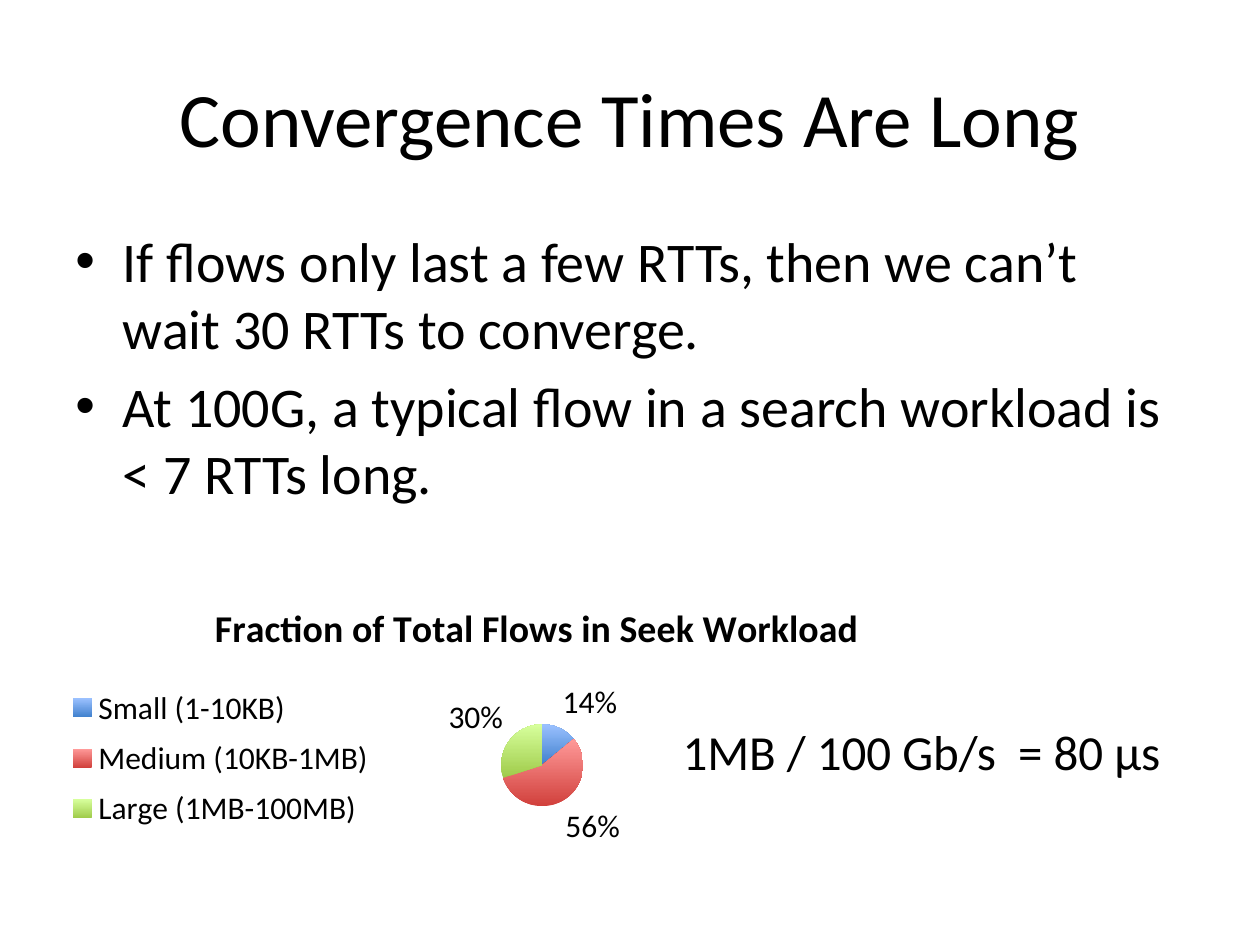
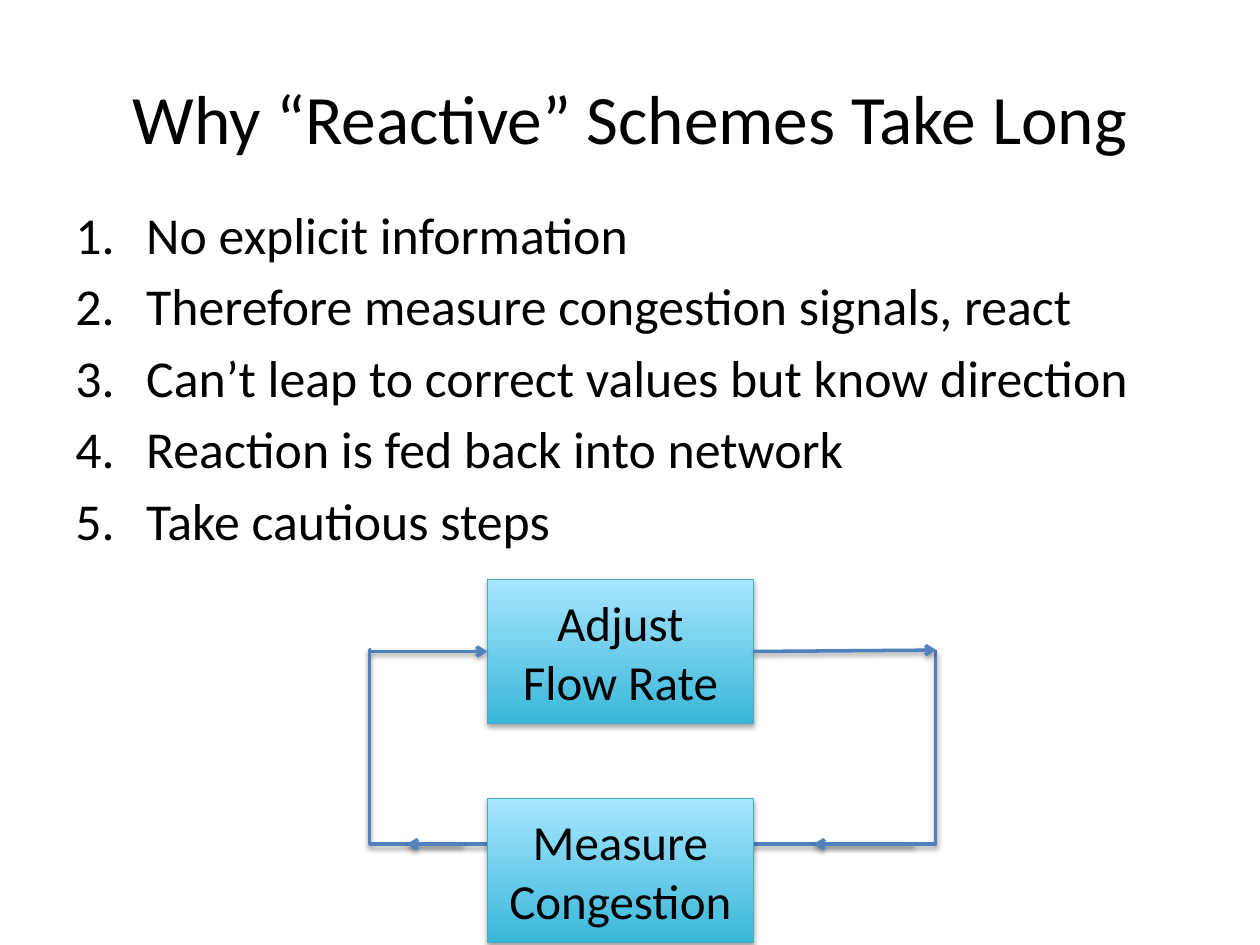
from dataclasses import dataclass

from lxml import etree
from pptx import Presentation
from pptx.chart.data import CategoryChartData
from pptx.dml.color import RGBColor
from pptx.enum.chart import XL_CHART_TYPE, XL_LABEL_POSITION, XL_LEGEND_POSITION
from pptx.enum.shapes import MSO_CONNECTOR, MSO_SHAPE
from pptx.enum.text import MSO_ANCHOR, PP_ALIGN
from pptx.oxml.ns import qn
from pptx.util import Pt

PIE = XL_CHART_TYPE.PIE
LABELS_OUTSIDE = XL_LABEL_POSITION.OUTSIDE_END
LEGEND_LEFT = XL_LEGEND_POSITION.LEFT
STRAIGHT, ELBOW = MSO_CONNECTOR.STRAIGHT, MSO_CONNECTOR.ELBOW
RECTANGLE = MSO_SHAPE.RECTANGLE
TOP, MIDDLE = MSO_ANCHOR.TOP, MSO_ANCHOR.MIDDLE
LEFT, CENTER = PP_ALIGN.LEFT, PP_ALIGN.CENTER
LEFT_SIDE, RIGHT_SIDE = 1, 3


@dataclass(frozen=True)
class Theme:
    font: str = "Calibri"
    text: str = "000000"
    arrow: str = "4F81BD"
    box_line: str = "46AAC5"
    box_gradient: tuple = ("39B7D8", "A7E6FF")
    slice_gradients: tuple = (
        ("3F80CD", "9BC1FF"), ("D1403C", "FF9A99"), ("9FCB4A", "D7FF9C"))
    title_size: float = 44
    long_title_size: float = 39.6
    bullet_size: float = 32
    step_size: float = 29.6
    note_size: float = 28
    chart_title_size: float = 21.6
    chart_size: float = 18
    paragraph_gap: float = 0.18


THEME = Theme()


def style_font(font, size, bold=None):
    font.name = THEME.font
    font.size = Pt(size)
    font.bold = bold
    font.color.rgb = RGBColor.from_string(THEME.text)


def write_text(frame, lines, size, align=LEFT, anchor=TOP):
    frame.word_wrap = True
    frame.vertical_anchor = anchor
    for index, line in enumerate(lines):
        paragraph = frame.add_paragraph() if index else frame.paragraphs[0]
        paragraph.text = line
        paragraph.alignment = align
        style_font(paragraph.font, size)


def add_text(slide, bounds, lines, size, align=LEFT, anchor=TOP):
    frame = slide.shapes.add_textbox(*map(Pt, bounds)).text_frame
    write_text(frame, lines, size, align, anchor)
    return frame


def add_title(slide, title, size):
    add_text(slide, (36, 21.6, 648, 90), [title], size, CENTER, MIDDLE)


def add_list(slide, top, height, items, size, indent, marker, **marker_attributes):
    frame = add_text(slide, (36, top, 648, height), items, size)
    for paragraph in frame.paragraphs:
        paragraph.space_before = Pt(size * THEME.paragraph_gap)
        properties = paragraph._p.get_or_add_pPr()
        properties.set("marL", str(Pt(indent)))
        properties.set("indent", str(-Pt(indent)))
        etree.SubElement(properties, qn("a:buFont"), typeface="Arial" if marker == "a:buChar" else "+mj-lt")
        etree.SubElement(properties, qn(marker), **marker_attributes)


def fill_gradient(fill, colors):
    fill.gradient()
    fill.gradient_angle = 90
    for stop, color in zip(fill.gradient_stops, colors):
        stop.color.rgb = RGBColor.from_string(color)


def add_shadow(element, distance, opacity):
    effects = etree.SubElement(element._element.spPr, qn("a:effectLst"))
    shadow = etree.SubElement(
        effects, qn("a:outerShdw"), blurRad=str(Pt(3.1)),
        dist=str(Pt(distance)), dir="5400000", rotWithShape="0")
    color = etree.SubElement(shadow, qn("a:srgbClr"), val="000000")
    etree.SubElement(color, qn("a:alpha"), val=str(opacity * 1000))


def add_stage(slide, top, lines):
    stage = slide.shapes.add_shape(RECTANGLE, Pt(278.5), Pt(top), Pt(152), Pt(82.4))
    fill_gradient(stage.fill, THEME.box_gradient)
    stage.line.color.rgb = RGBColor.from_string(THEME.box_line)
    stage.line.width = Pt(0.75)
    add_shadow(stage, 1.8, 35)
    write_text(stage.text_frame, lines, THEME.note_size, CENTER, MIDDLE)
    return stage


def add_flow(slide, start, end, kind=STRAIGHT, arrow=True, bend=None):
    flow = slide.shapes.add_connector(kind, *map(Pt, start + end))
    flow.line.color.rgb = RGBColor.from_string(THEME.arrow)
    flow.line.width = Pt(2)
    if arrow:
        etree.SubElement(flow.line._get_or_add_ln(), qn("a:tailEnd"), type="arrow")
    if bend is not None:
        adjustments = flow._element.spPr.find(qn("a:prstGeom")).get_or_add_avLst()
        etree.SubElement(adjustments, qn("a:gd"), name="adj1", fmla=f"val {bend}")
    add_shadow(flow, 1.6, 38)
    return flow


def place_in_chart(part, position, bounds, inner=False):
    for old_layout in part.findall(qn("c:layout")):
        part.remove(old_layout)
    layout = etree.Element(qn("c:layout"))
    manual = etree.SubElement(layout, qn("c:manualLayout"))
    settings = [("layoutTarget", "inner")] if inner else []
    settings += [("xMode", "edge"), ("yMode", "edge"), *zip("xywh", bounds)]
    for tag, value in settings:
        etree.SubElement(manual, qn(f"c:{tag}"), val=str(value))
    part.insert(position, layout)


def add_flow_chart(slide, bounds, title, fractions):
    data = CategoryChartData(number_format="0")
    data.categories = list(fractions)
    data.add_series(title, list(fractions.values()))
    chart = slide.shapes.add_chart(PIE, *map(Pt, bounds), data).chart
    style_font(chart.font, THEME.chart_size)

    chart.has_title = True
    heading = chart.chart_title.text_frame.paragraphs[0]
    heading.text = title
    style_font(heading.font, THEME.chart_title_size, bold=True)

    chart.has_legend = True
    chart.legend.position = LEGEND_LEFT
    chart.legend.include_in_layout = False
    style_font(chart.legend.font, THEME.chart_size)
    place_in_chart(chart.legend._element, 1, (0.02, 0.28, 0.32, 0.48))
    plot_area = chart._chartSpace.chart.plotArea
    place_in_chart(plot_area, 0, (0.46, 0.42, 0.09, 0.24), inner=True)

    plot = chart.plots[0]
    plot.vary_by_categories = True
    plot.has_data_labels = True
    labels = plot.data_labels
    labels.show_percentage = True
    labels.show_value = False
    labels.number_format = "0%"
    labels.number_format_is_linked = False
    labels.position = LABELS_OUTSIDE
    style_font(labels.font, THEME.chart_size)
    for index, colors in enumerate(THEME.slice_gradients):
        fill_gradient(plot.series[0].points[index].format.fill, colors)


def build_convergence_slide(slide):
    add_title(slide, "Convergence Times Are Long", THEME.title_size)
    add_list(slide, 126, 356.4, [
        "If flows only last a few RTTs, then we can’t wait 30 RTTs to converge.",
        "At 100G, a typical flow in a search workload is < 7 RTTs long.",
    ], THEME.bullet_size, 27, "a:buChar", char="•")
    add_flow_chart(
        slide, (24, 332, 566, 195), "Fraction of Total Flows in Seek Workload",
        {"Small (1-10KB)": 14, "Medium (10KB-1MB)": 56, "Large (1MB-100MB)": 30})
    add_text(slide, (383, 408.5, 360, 41), ["1MB / 100 Gb/s  = 80 µs"], THEME.note_size)


def build_reactive_slide(slide):
    add_title(slide, "Why “Reactive” Schemes Take Long", THEME.long_title_size)
    add_list(slide, 112.3, 200, [
        "No explicit information",
        "Therefore measure congestion signals, react",
        "Can’t leap to correct values but know direction",
        "Reaction is fed back into network",
        "Take cautious steps",
    ], THEME.step_size, 40.5, "a:buAutoNum", type="arabicPeriod")

    adjust_y, measure_y = 372.3, 482.4
    loop_left, loop_right = 211.5, 535
    add_flow(slide, (loop_right, adjust_y), (326, measure_y), ELBOW, bend=200)
    adjust = add_stage(slide, 331.1, ["Adjust", "Flow Rate"])
    into_adjust = add_flow(slide, (loop_left, adjust_y), (278.5, adjust_y))
    into_adjust.end_connect(adjust, LEFT_SIDE)
    out_of_adjust = add_flow(slide, (430.5, adjust_y), (loop_right, 371.5))
    out_of_adjust.begin_connect(adjust, RIGHT_SIDE)
    add_flow(slide, (327, measure_y), (loop_left, 371.5), ELBOW, arrow=False, bend=100200)
    add_stage(slide, 456.3, ["Measure Congestion"])
    for start_x, end_x in ((522.7, 465), (265, 232.6)):
        add_flow(slide, (start_x, measure_y), (end_x, measure_y))


def main():
    deck = Presentation()
    deck.slide_width, deck.slide_height = Pt(720), Pt(540)
    blank = deck.slide_layouts[6]
    for build in (build_convergence_slide, build_reactive_slide):
        build(deck.slides.add_slide(blank))
    deck.save("out.pptx")


if __name__ == "__main__":
    main()
